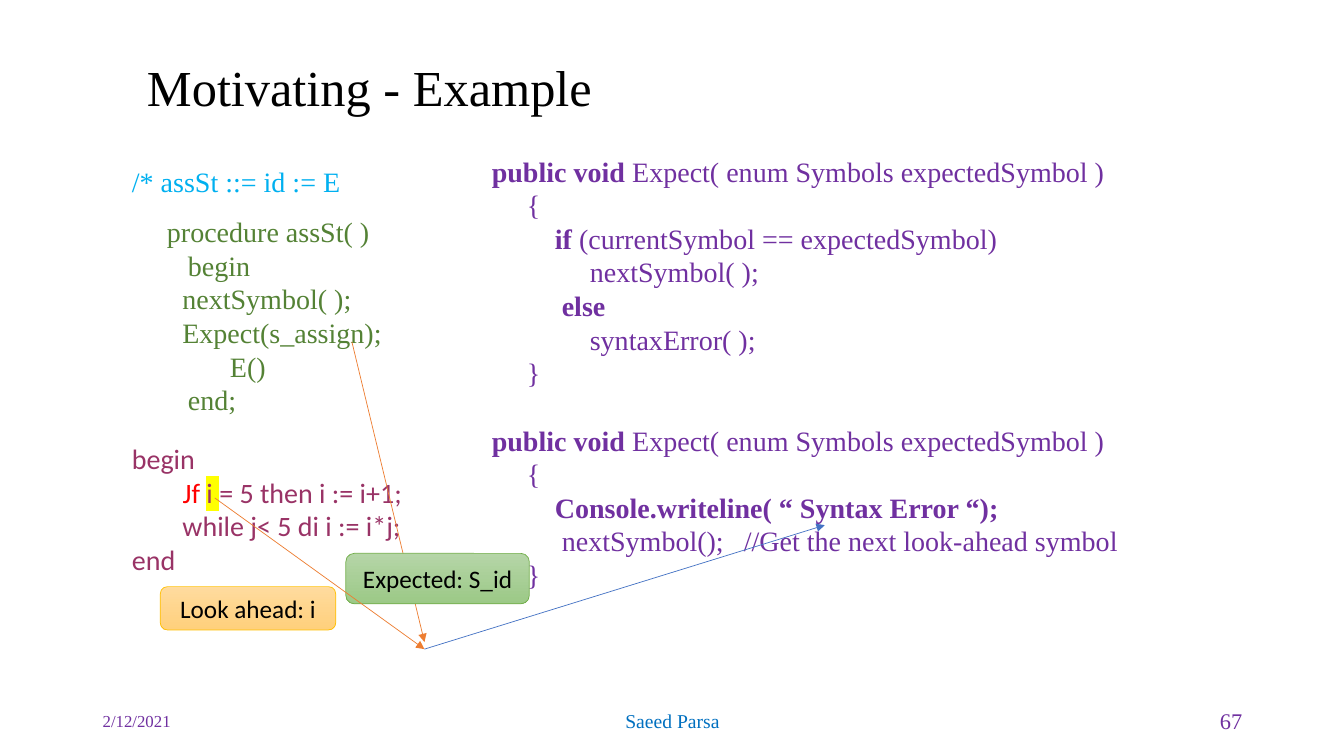
from dataclasses import dataclass
from typing import Optional

from lxml.etree import SubElement
from pptx import Presentation
from pptx.dml.color import RGBColor
from pptx.enum.shapes import MSO_CONNECTOR, MSO_SHAPE
from pptx.enum.text import MSO_ANCHOR as Anchor, PP_ALIGN as Align
from pptx.oxml.ns import qn
from pptx.util import Emu, Pt

PX = 9144
SERIF, SANS = "Times New Roman", "Calibri"
COLORS = {
    "black": "000000", "purple": "7030A0", "blue": "0070C0", "sky": "00B0F0",
    "green": "548235", "plum": "993366", "red": "FF0000", "yellow": "FFFF00",
    "orange_line": "ED7D31", "blue_line": "4472C4",
    "leaf_top": "B5D5A7", "leaf_bottom": "9CC987", "leaf_line": "70AD47",
    "amber_top": "FFDB9E", "amber_bottom": "FFD07C", "amber_line": "FFC000",
}


@dataclass
class Run:
    text: str
    bold: bool = False
    color: Optional[str] = None
    highlight: Optional[str] = None


@dataclass
class Line:
    runs: list[Run]
    color: str
    before: int = 0
    after: int = 0
    tab: int = 0


@dataclass
class Label:
    text: str
    box: tuple[int, int, int, int]
    size: int
    color: str
    align: Align = Align.LEFT
    spacing: float = 1.0


@dataclass
class Code:
    box: tuple[int, int, int, int]
    font: str
    lines: list[Line]
    indent: int = 0


@dataclass
class Tag:
    text: str
    box: tuple[int, int, int, int]
    palette: str


@dataclass
class Arrow:
    start: tuple[int, int]
    end: tuple[int, int]
    color: str


def rgb(name: str) -> RGBColor:
    return RGBColor.from_string(COLORS[name])


def px(*values: int) -> list[Emu]:
    return [Emu(v * PX) for v in values]


def style(r, font: str, size: int, color: str) -> None:
    r.font.name, r.font.size = font, Pt(size)
    r.font.color.rgb = rgb(color)


def add_label(s, label: Label) -> None:
    tf = s.shapes.add_textbox(*px(*label.box)).text_frame
    tf.word_wrap, tf.vertical_anchor = True, Anchor.MIDDLE
    tf.text = label.text
    p = tf.paragraphs[0]
    p.alignment, p.line_spacing = label.align, label.spacing
    style(p.runs[0], SERIF, label.size, label.color)


def add_code(s, code: Code) -> None:
    tf = s.shapes.add_textbox(*px(*code.box)).text_frame
    tf.word_wrap = True
    for i, line in enumerate(code.lines):
        p = tf.paragraphs[0] if i == 0 else tf.add_paragraph()
        p.line_spacing = Pt(24)
        p.space_before, p.space_after = Pt(line.before), Pt(line.after)
        pr = p._p.get_or_add_pPr()
        pr.set("marL", str(code.indent * PX))
        pr.set("indent", "0")
        if line.tab:
            tabs = SubElement(pr, qn("a:tabLst"))
            SubElement(tabs, qn("a:tab"), pos=str(line.tab * PX), algn="l")
        for run in line.runs:
            r = p.add_run()
            r.text = run.text
            style(r, code.font, 20, run.color or line.color)
            r.font.bold = run.bold
            if run.highlight:
                mark = SubElement(r.font._element, qn("a:highlight"))
                SubElement(mark, qn("a:srgbClr"), val=COLORS[run.highlight])
                r.font._element.find(qn("a:solidFill")).addnext(mark)


def add_tag(s, tag: Tag) -> None:
    sp = s.shapes.add_shape(MSO_SHAPE.ROUNDED_RECTANGLE, *px(*tag.box))
    sp.shadow.inherit = False
    sp.fill.gradient()
    sp.fill.gradient_angle = 270
    for stop, end in zip(sp.fill.gradient_stops, ("top", "bottom")):
        stop.color.rgb = rgb(f"{tag.palette}_{end}")
    sp.line.color.rgb, sp.line.width = rgb(f"{tag.palette}_line"), Pt(0.5)
    tf = sp.text_frame
    tf.word_wrap, tf.vertical_anchor = True, Anchor.MIDDLE
    tf.text = tag.text
    p = tf.paragraphs[0]
    p.alignment = Align.CENTER
    style(p.runs[0], SANS, 18, "black")


def add_arrow(s, arrow: Arrow) -> None:
    c = s.shapes.add_connector(MSO_CONNECTOR.STRAIGHT, *px(*arrow.start, *arrow.end))
    c.line.color.rgb, c.line.width = rgb(arrow.color), Pt(0.5)
    SubElement(c.line._get_or_add_ln(), qn("a:tailEnd"), type="triangle")
    SubElement(c._element.spPr, qn("a:effectLst"))


def plain(color: str, *texts: str) -> list[Line]:
    return [Line([Run(text)], color) for text in texts]


def expect_method(body: list[Line], before: int = 0) -> list[Line]:
    head = [Run("public void", True), Run(" Expect( enum Symbols expectedSymbol )")]
    return [Line(head, "purple", before), *plain("purple", "     {"),
            *body, *plain("purple", "     }")]


LABELS = [
    Label("Motivating - Example", (136, 58, 920, 64), 36, "black", spacing=0.9),
    Label("2/12/2021", (92, 695, 300, 40), 12, "purple"),
    Label("Saeed Parsa", (442, 695, 450, 40), 14, "blue", Align.CENTER),
    Label("67", (942, 695, 300, 40), 16, "purple", Align.RIGHT),
]

MATCH_BODY = [
    Line([Run("         if ", True), Run("(currentSymbol == expectedSymbol)")], "purple"),
    *plain("purple", "              nextSymbol( );"),
    Line([Run("          else", True)], "purple"),
    *plain("purple", "              syntaxError( );"),
]
ERROR_BODY = [
    Line([Run("         Console.writeline( “ Syntax Error “);", True)], "purple"),
    Line([Run("          nextSymbol();\t//Get the next look-ahead symbol")], "purple", tab=419),
]

CODES = [
    Code((121, 158, 659, 263), SERIF, [
        Line([Run("/* assSt ::= id := E")], "sky", after=12),
        *plain("green", "     procedure assSt( )", "        begin", "\tnextSymbol( );",
               "\tExpect(s_assign);", "              E()", "        end;"),
    ]),
    Code((121, 433, 300, 145), SANS, [
        *plain("plum", "begin"),
        Line([Run("        "), Run("Jf ", color="red"), Run("i ", highlight="yellow"),
              Run("= 5 then i := i+1;")], "plum"),
        *plain("plum", "        while j< 5 di i := i*j;", "end"),
    ]),
    Code((378, 148, 820, 448), SERIF,
         expect_method(MATCH_BODY) + expect_method(ERROR_BODY, 24), indent=100),
]

MEETING_POINT = (421, 644)
FLOW = [
    Arrow((349, 339), (421, 637), "orange_line"),
    Tag("Expected: S_id", (343, 549, 182, 50), "leaf"),
    Arrow((213, 494), MEETING_POINT, "orange_line"),
    Tag("Look ahead: i", (159, 582, 174, 43), "amber"),
    Arrow(MEETING_POINT, (818, 521), "blue_line"),
]


def main() -> None:
    prs = Presentation()
    prs.slide_width, prs.slide_height = px(1333, 750)
    s = prs.slides.add_slide(prs.slide_layouts[6])
    for label in LABELS:
        add_label(s, label)
    for code in CODES:
        add_code(s, code)
    for item in FLOW:
        if isinstance(item, Tag):
            add_tag(s, item)
        else:
            add_arrow(s, item)
    prs.save("out.pptx")


if __name__ == "__main__":
    main()
